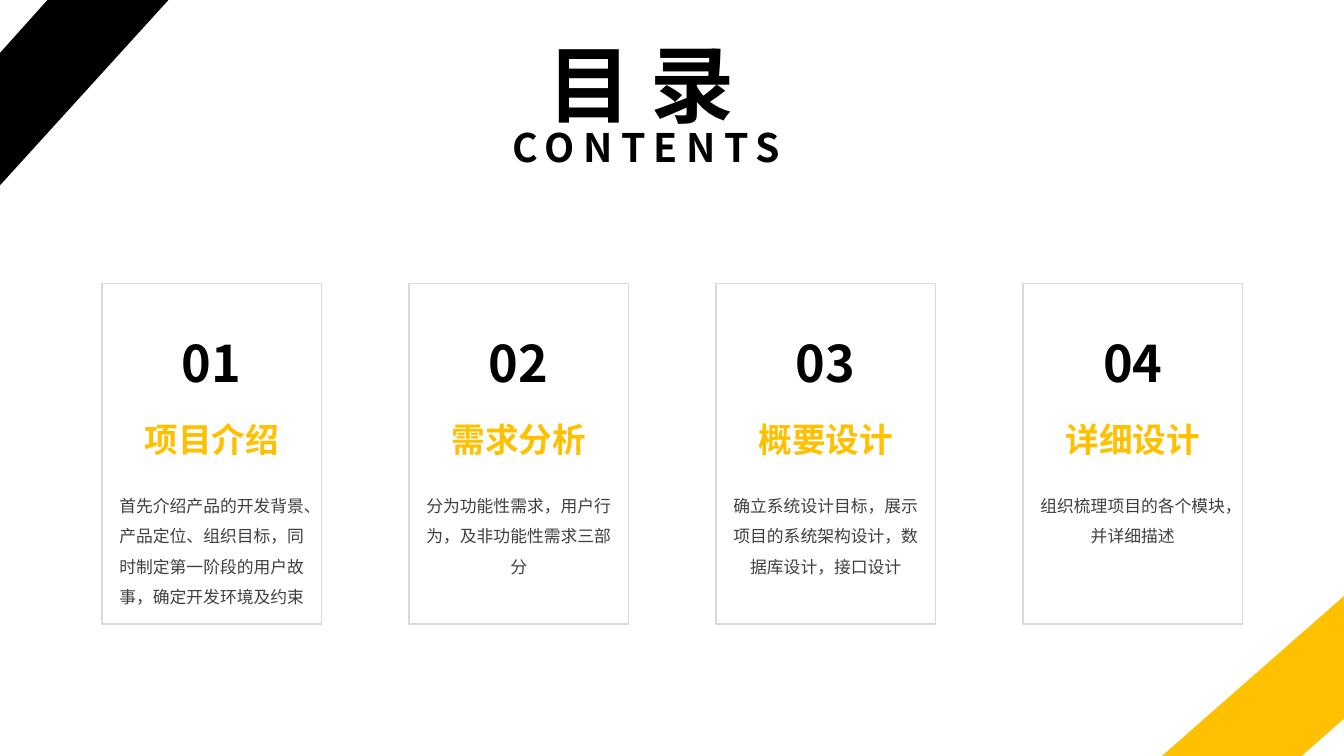
from pptx import Presentation
from pptx.dml.color import RGBColor
from pptx.enum.shapes import MSO_SHAPE
from pptx.enum.text import MSO_ANCHOR, MSO_AUTO_SIZE, PP_ALIGN
from pptx.util import Inches, Pt

BLACK = RGBColor(0x00, 0x00, 0x00)
YELLOW = RGBColor(0xFF, 0xC0, 0x00)
DARK_GRAY = RGBColor(0x40, 0x40, 0x40)
LIGHT_GRAY = RGBColor(0xD9, 0xD9, 0xD9)
FONT_NAME = "Noto Sans CJK SC"

NUMBER_FORMAT = {"size": Pt(36), "bold": True}
HEADING_FORMAT = {"size": Pt(24), "bold": True}
DETAIL_FORMAT = {"size": Pt(12), "bold": False}

CHAPTERS = [
    ("项目介绍", "首先介绍产品的开发背景、产品定位、组织目标，同时制定第一阶段的用户故事，确定开发环境及约束"),
    ("需求分析", "分为功能性需求，用户行为，及非功能性需求三部分"),
    ("概要设计", "确立系统设计目标，展示项目的系统架构设计，数据库设计，接口设计"),
    ("详细设计", "组织梳理项目的各个模块，并详细描述"),
]
CARD_LEFT, CARD_TOP, CARD_WIDTH, CARD_HEIGHT = 1.01, 2.81, 2.18, 3.38
CARD_PITCH = 3.045

BLACK_BAND = [(2.48, -0.89), (-1.11, 3.06), (-1.59, 2.3), (1.51, -1.16)]
YELLOW_BAND = [(14.78, 4.64), (10.58, 8.33), (11.54, 8.71), (15.21, 5.47)]


def add_run(paragraph, text, color, font_format):
    run = paragraph.add_run()
    run.text = text
    run.font.name = FONT_NAME
    run.font.color.rgb = color
    for name, value in font_format.items():
        setattr(run.font, name, value)
    properties = run.font._element
    east_asian = properties.makeelement(
        "{http://schemas.openxmlformats.org/drawingml/2006/main}ea", {"typeface": FONT_NAME})
    properties.append(east_asian)
    return run


def add_text_box(slide, left, top, width, height, wrap):
    box = slide.shapes.add_textbox(Inches(left), Inches(top), Inches(width), Inches(height))
    box.text_frame.word_wrap = wrap
    box.text_frame.paragraphs[0].alignment = PP_ALIGN.CENTER
    return box.text_frame


def add_title(slide, left, top, width, height):
    frame = add_text_box(slide, left, top, width, height, True)
    frame.vertical_anchor = MSO_ANCHOR.MIDDLE
    chinese = frame.paragraphs[0]
    add_run(chinese, "目 录", BLACK, {"size": Pt(60), "bold": True})
    add_run(chinese, " ", BLACK, NUMBER_FORMAT)
    english = frame.add_paragraph()
    english.alignment = PP_ALIGN.CENTER
    run = add_run(english, "CONTENTS", BLACK, {"size": Pt(28), "bold": True})
    run.font._element.set("spc", "600")
    for paragraph in frame.paragraphs:
        paragraph.line_spacing = 0.8


def add_card(slide, left, top, width, height, number, heading, detail):
    card = slide.shapes.add_shape(
        MSO_SHAPE.RECTANGLE, Inches(left), Inches(top), Inches(width), Inches(height))
    card.shadow.inherit = False
    card.fill.background()
    card.line.color.rgb = LIGHT_GRAY
    card.line.width = Pt(1)

    parts = [
        (number, 0.44, 0.83, 0.71, False, BLACK, NUMBER_FORMAT, 1.0),
        (heading, 1.3, 1.55, 0.5, False, YELLOW, HEADING_FORMAT, 1.0),
        (detail, 1.96, 2.05, 1.31, True, DARK_GRAY, DETAIL_FORMAT, 1.5),
    ]
    for text, offset, part_width, part_height, wrap, color, font_format, spacing in parts:
        part_left = left + (width - part_width) / 2
        frame = add_text_box(slide, part_left, top + offset, part_width, part_height, wrap)
        frame.auto_size = MSO_AUTO_SIZE.SHAPE_TO_FIT_TEXT
        paragraph = frame.paragraphs[0]
        paragraph.line_spacing = spacing
        add_run(paragraph, text, color, font_format)


def add_corner_band(slide, points, color):
    start, *others = [(Inches(x), Inches(y)) for x, y in points]
    builder = slide.shapes.build_freeform(*start)
    builder.add_line_segments(others, close=True)
    band = builder.convert_to_shape()
    band.shadow.inherit = False
    band.fill.solid()
    band.fill.fore_color.rgb = color
    band.line.fill.background()


def main():
    presentation = Presentation()
    presentation.slide_width = Inches(13.33)
    presentation.slide_height = Inches(7.5)
    slide = presentation.slides.add_slide(presentation.slide_layouts[6])
    for index, (heading, detail) in enumerate(CHAPTERS):
        left = CARD_LEFT + index * CARD_PITCH
        add_card(slide, left, CARD_TOP, CARD_WIDTH, CARD_HEIGHT, f"{index + 1:02d}", heading, detail)
    add_title(slide, 4.5, 0.49, 3.82, 1.23)
    add_corner_band(slide, BLACK_BAND, BLACK)
    add_corner_band(slide, YELLOW_BAND, YELLOW)
    presentation.save("out.pptx")


if __name__ == "__main__":
    main()
